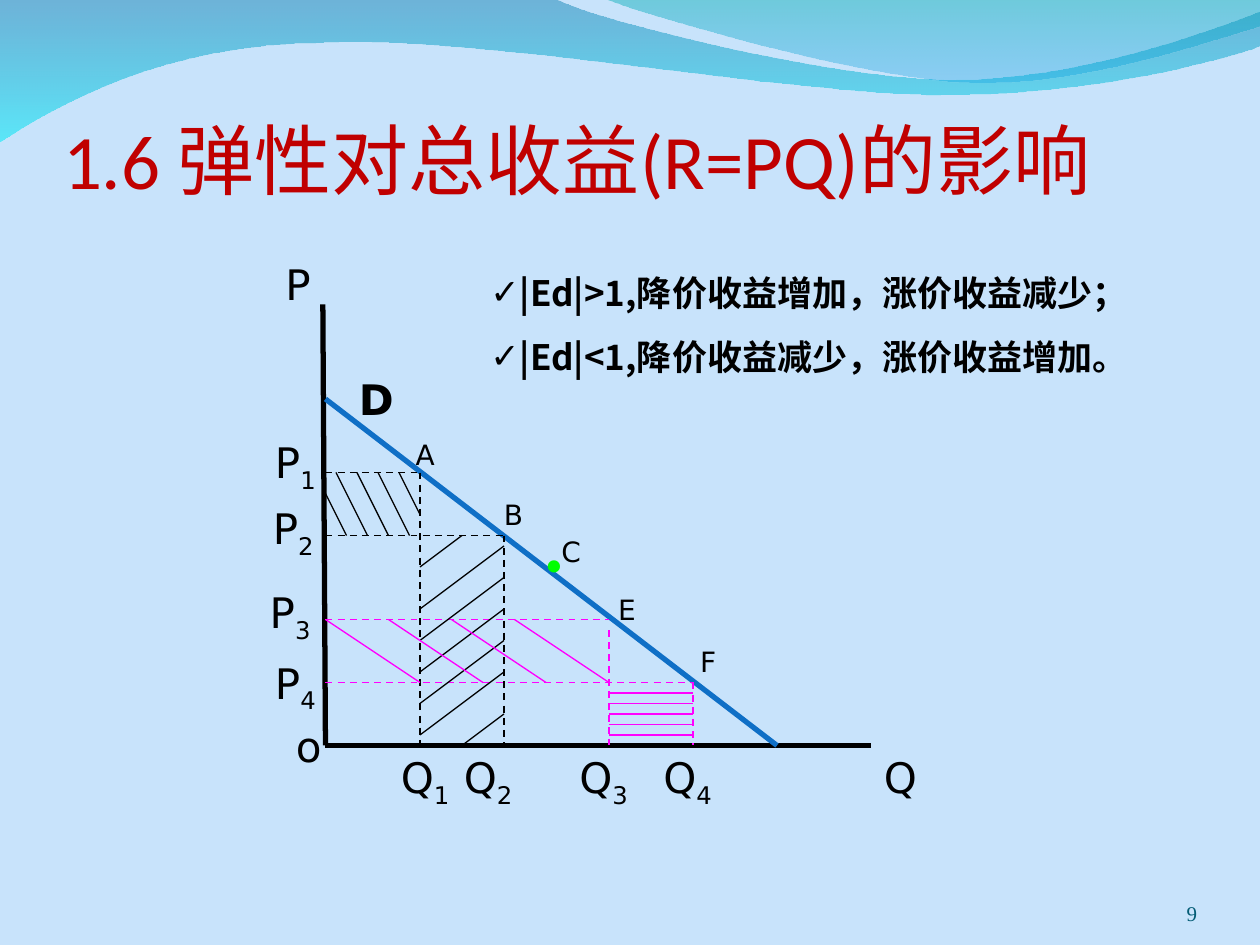
from lxml.etree import SubElement
from pptx import Presentation
from pptx.dml.color import RGBColor
from pptx.enum.dml import MSO_LINE
from pptx.enum.shapes import MSO_CONNECTOR
from pptx.enum.text import MSO_ANCHOR, MSO_AUTO_SIZE, PP_ALIGN
from pptx.oxml.ns import qn
from pptx.util import Inches, Pt

BLACK, MAGENTA, BLUE, GREEN = "000000", "FF00FF", "0F6FC6", "00FF00"
CJK_FONT = "Noto Sans CJK SC"


def rgb(value):
    """Turn a hex string into a colour."""
    return RGBColor.from_string(value)


def style_run(run, size, face, colour, bold=False):
    """Format one run, with the Chinese font for its East Asian letters."""
    run.font.size, run.font.name, run.font.bold = Pt(size), face, bold
    run.font.color.rgb = rgb(colour)
    SubElement(run.font._element, qn("a:ea"), typeface=CJK_FONT)


def place(shape, box):
    """Move a shape to a left, top, width, height box."""
    shape.left, shape.top, shape.width, shape.height = box


def set_insets(frame, left, top, right, bottom):
    """Set the insets of a text frame in inches."""
    frame.margin_left, frame.margin_top = Inches(left), Inches(top)
    frame.margin_right, frame.margin_bottom = Inches(right), Inches(bottom)


def bend(wave, edges):
    """Merge the segments of each three-point edge into one cubic curve."""
    segments = iter(list(wave._element.iter(qn("a:lnTo"))))
    for edge in edges:
        first = next(segments)
        if len(edge) == 3:
            first.tag = qn("a:cubicBezTo")
            for _ in edge[1:]:
                extra = next(segments)
                first.append(extra[0])
                extra.getparent().remove(extra)


def add_wave(slide, cell, start, edges, stops):
    """Draw a wave from its edges, a single point or three curve points each."""
    builder = slide.shapes.build_freeform(start[0] * cell, start[1] * cell)
    builder.add_line_segments([(x * cell, y * cell) for edge in edges for x, y in edge])
    wave = builder.convert_to_shape()
    bend(wave, edges)
    wave.shadow.inherit = False
    wave.line.fill.background()
    wave.fill.gradient()
    wave.fill.gradient_angle = 270
    for stop, (colour, opacity) in zip(wave.fill.gradient_stops, stops):
        stop.color.rgb = rgb(colour)
    colours = wave._element.spPr.iter(qn("a:srgbClr"))
    for colour_element, (colour, opacity) in zip(colours, stops):
        SubElement(colour_element, qn("a:alpha"), val=str(opacity * 1000))


def add_header_waves(slide, width):
    """Draw both waves on a grid of ten columns across the slide."""
    cell = width / 10
    add_wave(slide, cell, (0, -0.01), [
        [(4.4, -0.01)],
        [(4.76, 0.17), (6.64, 0.63), (7.58, 0.63)],
        [(8.53, 0.63), (9.58, 0.26), (10, 0.09)],
        [(10.01, 0.36)],
        [(9.83, 0.44), (8.7, 0.76), (7.46, 0.75)],
        [(6.22, 0.75), (3.82, 0.28), (2.57, 0.34)],
        [(1.29, 0.35), (0.46, 0.83), (-0.01, 1.13)],
    ], [("0079AF", 45), ("00EBF8", 55)])
    add_wave(slide, cell, (4.79, -0.01), [
        [(5.09, 0.11), (6.82, 0.62), (7.69, 0.65)],
        [(8.56, 0.69), (9.61, 0.32), (10, 0.21)],
        [(10, 0)],
    ], [("00ADB6", 45), ("009BE5", 30)])


def fill_title(title, box):
    """Write the heading into the title placeholder."""
    place(title, box)
    frame = title.text_frame
    frame.text = "1.6 弹性对总收益(R=PQ)的影响"
    frame.auto_size, frame.vertical_anchor = MSO_AUTO_SIZE.NONE, MSO_ANCHOR.BOTTOM
    set_insets(frame, 0, 0.05, 0, 0)
    heading = frame.paragraphs[0]
    heading.alignment = PP_ALIGN.LEFT
    style_run(heading.runs[0], 44, "Calibri", "C00000")


def fill_rules(body, box):
    """Write the two elasticity rules as a ticked list."""
    place(body, box)
    frame = body.text_frame
    frame.text = "|Ed|>1,降价收益增加，涨价收益减少；\n|Ed|<1,降价收益减少，涨价收益增加。"
    frame.auto_size = MSO_AUTO_SIZE.NONE
    set_insets(frame, 0.1, 0.05, 0.1, 0.05)
    for index, rule in enumerate(frame.paragraphs):
        properties = rule._p.get_or_add_pPr()
        properties.set("marL", "0")
        properties.set("indent", "0")
        tick_colour = SubElement(properties, qn("a:buClr"))
        SubElement(tick_colour, qn("a:srgbClr"), val=BLACK)
        SubElement(properties, qn("a:buChar"), char="✓")
        rule.space_before = Pt(12.5 * index)
        style_run(rule.runs[0], 20, CJK_FONT, BLACK, True)


def add_page_number(slide, box):
    """Write the page number at the lower right."""
    number = slide.shapes.add_textbox(*box)
    frame = number.text_frame
    frame.text, frame.word_wrap = "9", True
    frame.vertical_anchor = MSO_ANCHOR.BOTTOM
    set_insets(frame, 0, 0, 0, 0)
    frame.paragraphs[0].alignment = PP_ALIGN.RIGHT
    style_run(frame.paragraphs[0].runs[0], 12, "Times New Roman", "045C75")


def add_demand_diagram(slide, box):
    """Draw the demand diagram on 52 columns, with rows counted up from the origin."""
    left, top, width, height = box
    cell = width / 52

    def at(column, row):
        return round(left + column * cell), round(top + height - row * cell)

    def segment(start, end, colour=BLACK, weight=0.75, dash=None):
        line = slide.shapes.add_connector(MSO_CONNECTOR.STRAIGHT, *at(*start), *at(*end))
        line.line.color.rgb, line.line.width = rgb(colour), Pt(weight)
        line.line.dash_style = dash
        SubElement(line._element.spPr, qn("a:effectLst"))

    def hatch(west, east, south, north, slope, rows, colour):
        for row in rows:
            low, high = 0, east - west
            if slope:
                crossings = sorted(((south - row) / slope, (north - row) / slope))
                low, high = max(low, crossings[0]), min(high, crossings[1])
            segment((west + low, row + slope * low), (west + high, row + slope * high), colour)

    def label(text, column, row, size=24, subscript="", colour=BLACK, bold=False, columns=9):
        caption = slide.shapes.add_textbox(*at(column, row), round(columns * cell), round(6 * cell))
        frame = caption.text_frame
        frame.text, frame.word_wrap = text, True
        if subscript:
            index = frame.paragraphs[0].add_run()
            index.text = subscript
            index.font._element.set("baseline", "-25000")
        for run in frame.paragraphs[0].runs:
            style_run(run, size, "DejaVu Sans", colour, bold)

    segment((-0.25, 42), (0, 0), weight=3)
    segment((0, 0), (52, 0), weight=3)
    segment((0, 33), (43, 0), BLUE, 3)

    sales = [(9, 26, 26, BLACK), (17, 20, 20, BLACK), (27, 12, 11, MAGENTA), (35, 6, 6, MAGENTA)]
    for quantity, price, drop_start, colour in sales:
        segment((0, price), (quantity, price), colour, 1, MSO_LINE.DASH)
        segment((quantity, drop_start), (quantity, 0), colour, 1, MSO_LINE.DASH)

    hatch(0, 9, 20, 26, -2, range(24, 41, 4), BLACK)
    hatch(9, 17, 0, 20, 0.75, (-3, 1, 4, 7, 10, 13, 17), BLACK)
    hatch(0, 27, 6, 12, -2 / 3, range(12, 25, 4), MAGENTA)
    hatch(27, 35, 0, 6, 0, range(1, 6), MAGENTA)

    price_marks = [(-6, 30), (-6.2, 23.7), (-6.5, 15.7), (-6, 9)]
    quantity_columns = [6, 12, 23, 31]
    for number, (mark, column) in enumerate(zip(price_marks, quantity_columns), 1):
        label("P", *mark, subscript=str(number))
        label("Q", column, 0, subscript=str(number))

    point_marks = [(7.4, 29.9), (15.8, 24.2), (21.3, 20.7), (26.7, 15.2), (34.5, 10.2)]
    for point, mark in zip("ABCEF", point_marks):
        label(point, *mark, size=16, columns=6)

    label("o", -4, 3, columns=5)
    label("P", -5, 47)
    label("Q", 52, 0)
    label("D", 2, 36, bold=True)
    label("•", 19.4, 20.1, colour=GREEN, columns=4)


def main():
    """Build the slide and save it."""
    deck = Presentation()
    deck.slide_width, deck.slide_height = Inches(10), Inches(7.5)
    slide = deck.slides.add_slide(deck.slide_layouts[1])
    slide.background.fill.solid()
    slide.background.fill.fore_color.rgb = rgb("C8E3FB")
    column, row = deck.slide_width / 120, deck.slide_height / 90

    def grid(x, y, columns, rows):
        return [round(n) for n in (x * column, y * row, columns * column, rows * row)]

    add_header_waves(slide, deck.slide_width)
    fill_title(slide.shapes.title, grid(6, 11.5, 111, 8))
    add_demand_diagram(slide, grid(31, 29, 52, 42))
    fill_rules(slide.placeholders[1], grid(45.5, 25.3, 68.5, 11.3))
    add_page_number(slide, grid(104, 83.4, 10, 4.8))
    deck.save("out.pptx")


if __name__ == "__main__":
    main()
